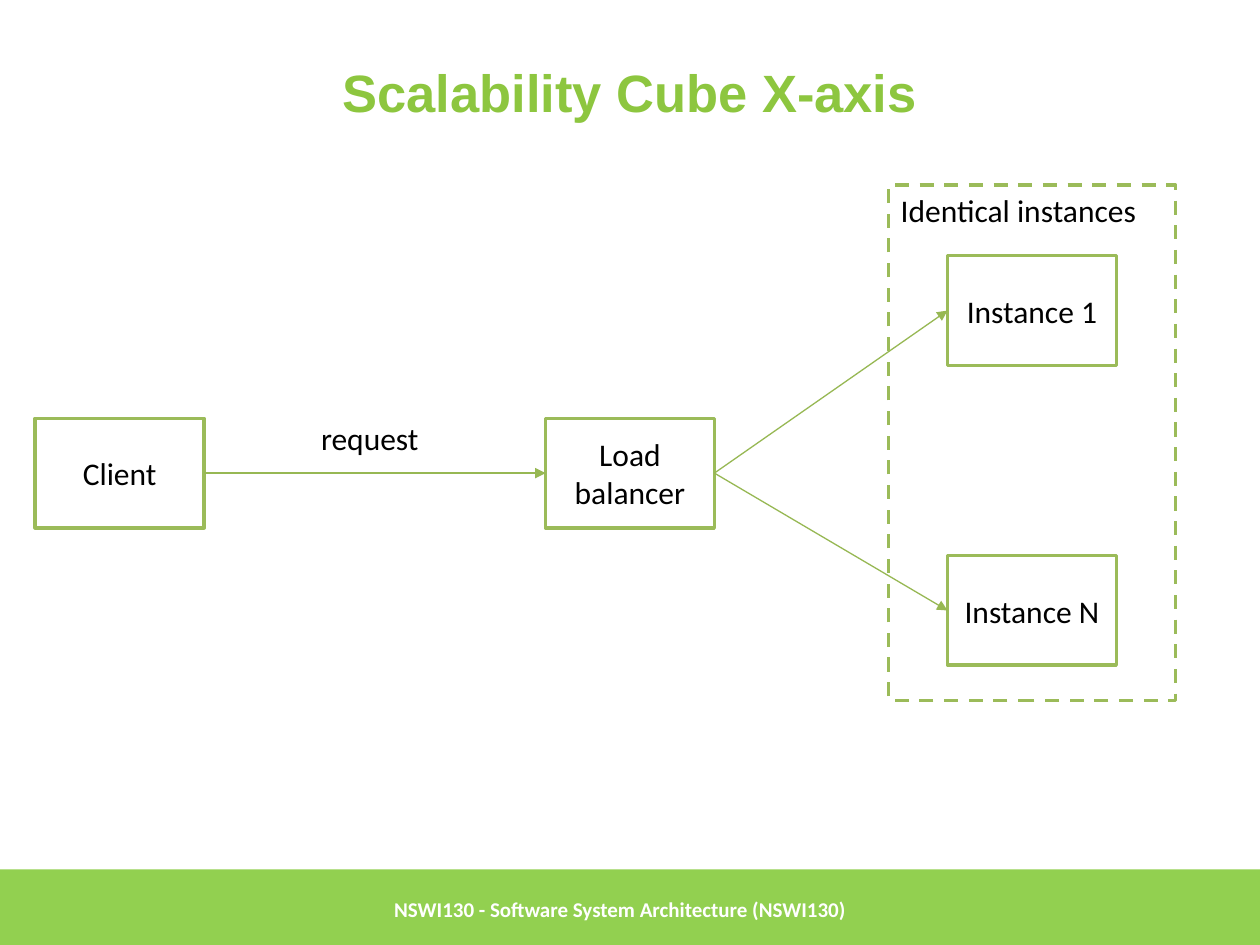
from pptx import Presentation
from pptx.dml.color import RGBColor
from pptx.enum.dml import MSO_LINE
from pptx.enum.shapes import MSO_CONNECTOR, MSO_SHAPE
from pptx.enum.text import MSO_ANCHOR, PP_ALIGN
from pptx.oxml.ns import qn
from pptx.util import Inches, Pt
from lxml import etree

RECTANGLE = MSO_SHAPE.RECTANGLE
STRAIGHT = MSO_CONNECTOR.STRAIGHT
DASH = MSO_LINE.DASH
TOP, MIDDLE = MSO_ANCHOR.TOP, MSO_ANCHOR.MIDDLE
LEFT, CENTER = PP_ALIGN.LEFT, PP_ALIGN.CENTER
LEFT_SIDE, RIGHT_SIDE = 1, 3

GREEN, ARROW_GREEN = "9BBB59", "97B853"
TITLE_GREEN, BAND_GREEN = "8DC63F", "92D050"
WHITE, BLACK = "FFFFFF", "000000"
NODE_WIDTH, NODE_HEIGHT = 1.34, 0.87


def color(value):
    """Turn a hex string into a colour."""
    return RGBColor.from_string(value)


def set_text(shape, text, size=18, font="Calibri", fill=BLACK, bold=False,
             align=CENTER, anchor=MIDDLE):
    """Write one formatted paragraph into a shape."""
    frame = shape.text_frame
    frame.text = text
    frame.word_wrap = True
    frame.vertical_anchor = anchor
    paragraph = frame.paragraphs[0]
    paragraph.alignment = align
    for run in paragraph.runs:
        run.font.size = Pt(size)
        run.font.name = font
        run.font.bold = bold
        run.font.color.rgb = color(fill)


def add_text(slide, box, text, **style):
    """Add a text box at left, top, width, height."""
    shape = slide.shapes.add_textbox(*map(Inches, box))
    set_text(shape, text, **style)


def add_rectangle(slide, box, fill=None, line=None):
    """Add a rectangle with optional fill and outline."""
    shape = slide.shapes.add_shape(RECTANGLE, *map(Inches, box))
    shape.shadow.inherit = False
    if fill:
        shape.fill.solid()
        shape.fill.fore_color.rgb = color(fill)
    else:
        shape.fill.background()
    if line:
        shape.line.color.rgb = color(line)
        shape.line.width = Pt(2)
    else:
        shape.line.fill.background()
    return shape


def add_node(slide, left, top, text):
    """Add a diagram node of the common size."""
    node = add_rectangle(slide, (left, top, NODE_WIDTH, NODE_HEIGHT), WHITE, GREEN)
    set_text(node, text)
    return node


def add_arrow(slide, source, target):
    """Join the right side of one node to the left side of another."""
    arrow = slide.shapes.add_connector(STRAIGHT, 0, 0, 0, 0)
    arrow.begin_connect(source, RIGHT_SIDE)
    arrow.end_connect(target, LEFT_SIDE)
    arrow.line.color.rgb = color(ARROW_GREEN)
    arrow.line.width = Pt(0.75)
    etree.SubElement(arrow.line._get_or_add_ln(), qn("a:tailEnd"), type="triangle")
    etree.SubElement(arrow._element.spPr, qn("a:effectLst"))


def add_footer(slide, left, top, width, height):
    """Add the footer band with the course name."""
    add_rectangle(slide, (left, top, width, height), BAND_GREEN)
    add_text(slide, (left + 3.03, top, 6.02, height),
             "NSWI130 - Software System Architecture (NSWI130)",
             size=12, fill=WHITE, bold=True, align=LEFT)


def add_diagram(slide, left, top, width, height):
    """Add the client, the load balancer and the framed instances."""
    node_top = top + 1.85
    client = add_node(slide, left, node_top, "Client")
    balancer = add_node(slide, left + 4.05, node_top, "Load balancer")
    add_arrow(slide, client, balancer)

    frame_width = 2.28
    frame_left = left + width - frame_width
    instance_left = frame_left + (frame_width - NODE_WIDTH) / 2
    for offset, name in ((0.56, "Instance 1"), (2.94, "Instance N")):
        instance = add_node(slide, instance_left, top + offset, name)
        add_arrow(slide, balancer, instance)

    add_text(slide, (left + 1.73, node_top - 0.04, 1.85, 0.4), "request", anchor=TOP)
    frame = add_rectangle(slide, (frame_left, top, frame_width, height), line=GREEN)
    frame.line.dash_style = DASH
    set_text(frame, "Identical instances", align=LEFT, anchor=TOP)


def main():
    """Build and save the slide."""
    presentation = Presentation()
    presentation.slide_width = Inches(10)
    presentation.slide_height = Inches(7.5)
    slide = presentation.slides.add_slide(presentation.slide_layouts[6])
    add_footer(slide, 0, 6.9, 10, 0.63)
    add_text(slide, (0.5, 0.3, 9, 0.85), "Scalability Cube X-axis",
             size=30, font="Arial", fill=TITLE_GREEN, bold=True)
    add_diagram(slide, 0.28, 1.47, 9.05, 4.09)
    presentation.save("out.pptx")


if __name__ == "__main__":
    main()
